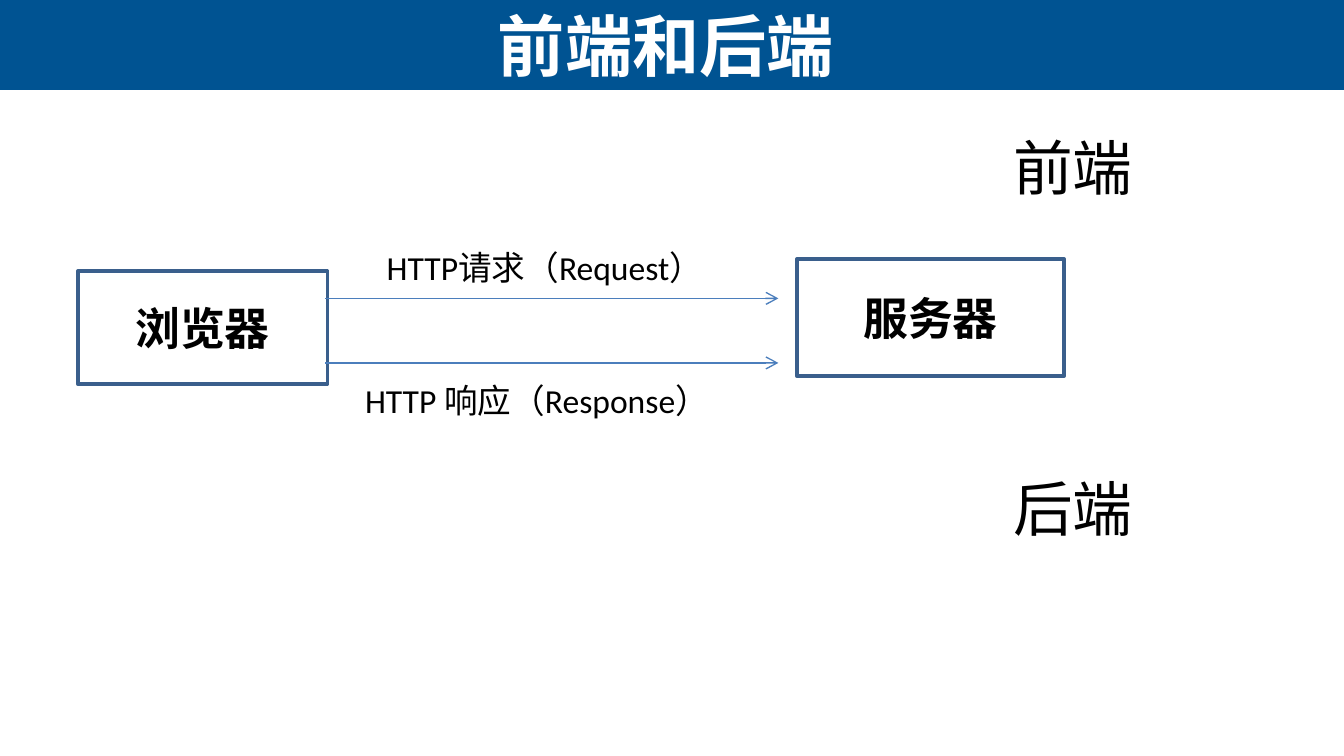
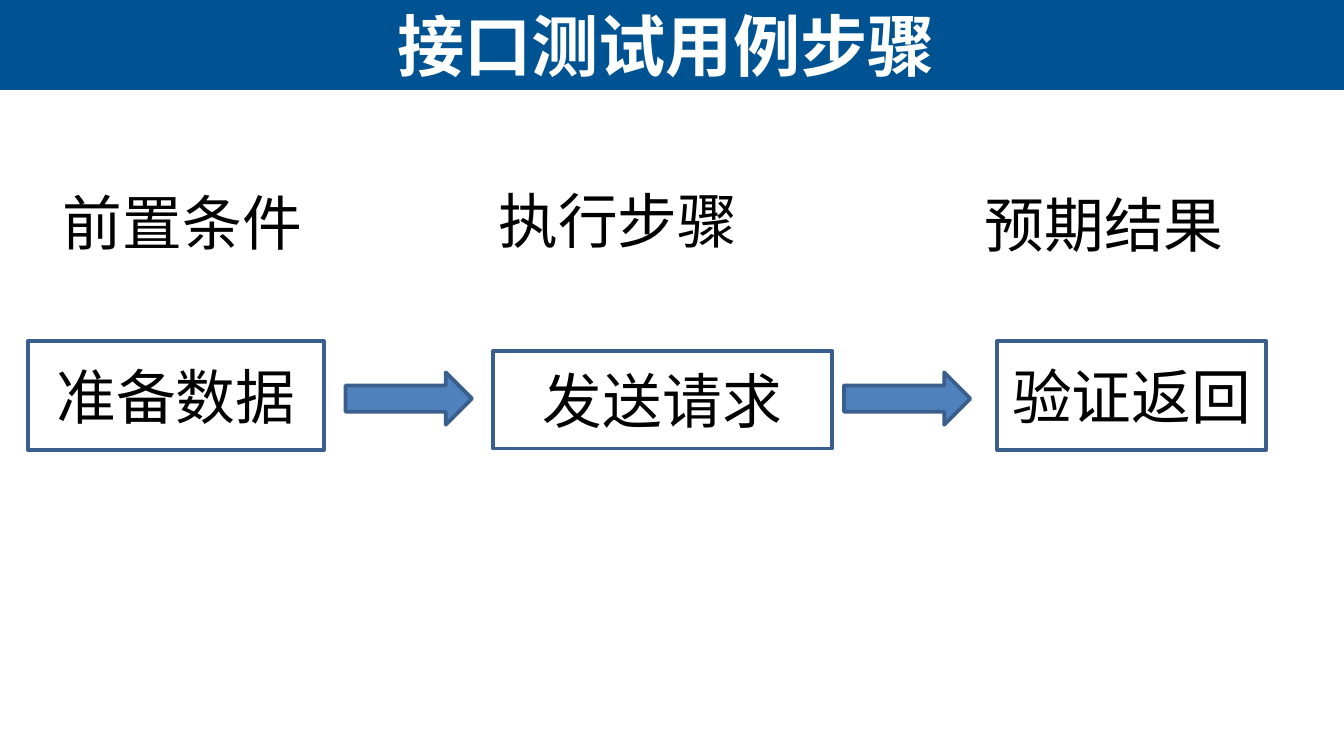
from dataclasses import dataclass

from lxml.etree import SubElement
from pptx import Presentation
from pptx.dml.color import RGBColor
from pptx.enum.shapes import MSO_CONNECTOR as Connector, MSO_SHAPE as Preset
from pptx.enum.text import MSO_ANCHOR as Anchor, PP_ALIGN as Align
from pptx.oxml.ns import qn
from pptx.util import Cm, Pt

WIDTH, HEIGHT = 25.4, 14.29
BAND_HEIGHT = 1.7
BAND, OUTLINE, ARROW_FILL, LINE = "005392", "3A5F8C", "4F81BD", "4B7EBC"
BLACK, WHITE = "000000", "FFFFFF"

TITLE = {"name": "Arial", "size": Pt(36), "bold": True}
NODE = {"name": "Calibri", "size": Pt(24), "bold": True}
CAPTION = {"name": "Calibri", "size": Pt(18), "bold": False}
LARGE = {"name": "Calibri", "size": Pt(32), "bold": False}


@dataclass(frozen=True)
class Block:
    """A piece of text and its place in centimetres."""
    text: str
    left: float
    top: float
    width: float
    height: float
    font: dict

    def bounds(self) -> list:
        """Return left, top, width and height as lengths."""
        return [Cm(value) for value in (self.left, self.top, self.width, self.height)]


def color(hex_value: str) -> RGBColor:
    """Turn a hex string into a colour."""
    return RGBColor.from_string(hex_value)


def write(shape, block: Block, hex_value: str = BLACK,
          align=Align.LEFT, anchor=Anchor.TOP) -> None:
    """Put the text of a block into a shape."""
    frame = shape.text_frame
    for name, value in {"word_wrap": True, "vertical_anchor": anchor}.items():
        setattr(frame, name, value)
    paragraph = frame.paragraphs[0]
    paragraph.alignment = align
    run = paragraph.add_run()
    run.text = block.text
    for name, value in block.font.items():
        setattr(run.font, name, value)
    run.font.color.rgb = color(hex_value)


def add_preset(slide, preset, bounds: list, fill: str = "", outline: str = OUTLINE):
    """Add a preset shape; an empty colour means none."""
    shape = slide.shapes.add_shape(preset, *bounds)
    shape.shadow.inherit = False
    for part, hex_value in ((shape.fill, fill), (shape.line.fill, outline)):
        if hex_value:
            part.solid()
            part.fore_color.rgb = color(hex_value)
        else:
            part.background()
    if outline:
        shape.line.width = Pt(2)
    return shape


def add_label(slide, block: Block, **style) -> None:
    """Add a text box."""
    write(slide.shapes.add_textbox(*block.bounds()), block, **style)


def add_box(slide, block: Block) -> None:
    """Add an outlined box with centred text."""
    shape = add_preset(slide, Preset.RECTANGLE, block.bounds())
    write(shape, block, align=Align.CENTER, anchor=Anchor.MIDDLE)


def add_arrow_line(slide, start: float, end: float, top: float) -> None:
    """Add a thin horizontal line with an open arrowhead at its end."""
    line = slide.shapes.add_connector(
        Connector.STRAIGHT, Cm(start), Cm(top), Cm(end), Cm(top))
    line.line.color.rgb = color(LINE)
    line.line.width = Pt(0.75)
    properties = line.element.spPr
    SubElement(properties.find(qn("a:ln")), qn("a:tailEnd"), type="arrow")
    SubElement(properties, qn("a:effectLst"))


def add_titled_slide(presentation, title: str):
    """Add a blank slide with the title band."""
    slide = presentation.slides.add_slide(presentation.slide_layouts[6])
    band = [Cm(value) for value in (0, 0, WIDTH, BAND_HEIGHT)]
    add_preset(slide, Preset.RECTANGLE, band, fill=BAND, outline="")
    add_label(slide, Block(title, 0.05, 0, 25.07, BAND_HEIGHT, TITLE),
              hex_value=WHITE, align=Align.CENTER, anchor=Anchor.MIDDLE)
    return slide


def build_front_and_back(presentation) -> None:
    """Draw the browser and server exchange."""
    slide = add_titled_slide(presentation, "前端和后端")
    for box in (Block("服务器", 15.06, 4.9, 5.05, 2.21, NODE),
                Block("浏览器", 1.47, 5.13, 4.72, 2.13, NODE)):
        add_box(slide, box)
    for top in (5.64, 6.86):
        add_arrow_line(slide, 6.15, 14.71, top)
    for label in (Block("HTTP请求（Request）", 7.06, 4.55, 8.59, 1.02, CAPTION),
                  Block("HTTP 响应（Response）", 6.65, 7.06, 9.4, 1.02, CAPTION),
                  Block("前端", 18.9, 2.34, 3.2, 1.63, LARGE),
                  Block("后端", 18.9, 8.79, 3.2, 1.63, LARGE)):
        add_label(slide, label)


def build_test_steps(presentation) -> None:
    """Draw the three steps of an interface test case."""
    slide = add_titled_slide(presentation, "接口测试用例步骤")
    for heading in (Block("前置条件", 0.94, 3.38, 7, 1.63, LARGE),
                    Block("执行步骤", 9.17, 3.35, 7, 1.63, LARGE),
                    Block("预期结果", 18.36, 3.43, 7, 1.63, LARGE)):
        add_label(slide, heading)
    for step in (Block("准备数据", 0.53, 6.45, 5.59, 2.06, LARGE),
                 Block("发送请求", 9.32, 6.63, 6.4, 1.85, LARGE),
                 Block("验证返回", 18.85, 6.45, 5.08, 2.06, LARGE)):
        add_box(slide, step)
    for left in (6.53, 15.95):
        bounds = [Cm(value) for value in (left, 7.04, 2.39, 0.99)]
        add_preset(slide, Preset.RIGHT_ARROW, bounds, fill=ARROW_FILL)


def main() -> None:
    """Build and save the presentation."""
    presentation = Presentation()
    presentation.slide_width, presentation.slide_height = Cm(WIDTH), Cm(HEIGHT)
    build_front_and_back(presentation)
    build_test_steps(presentation)
    presentation.save("out.pptx")


main()
